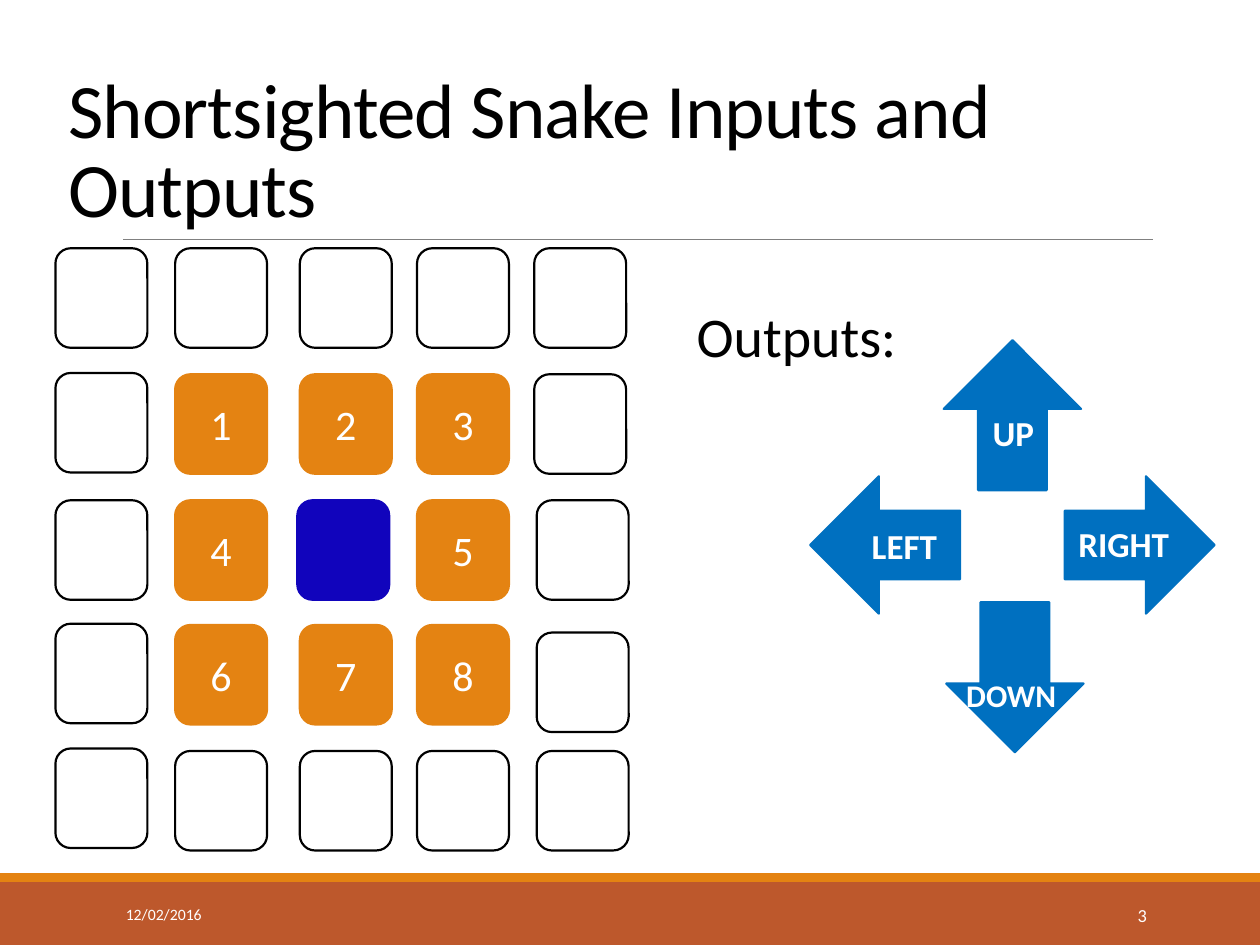
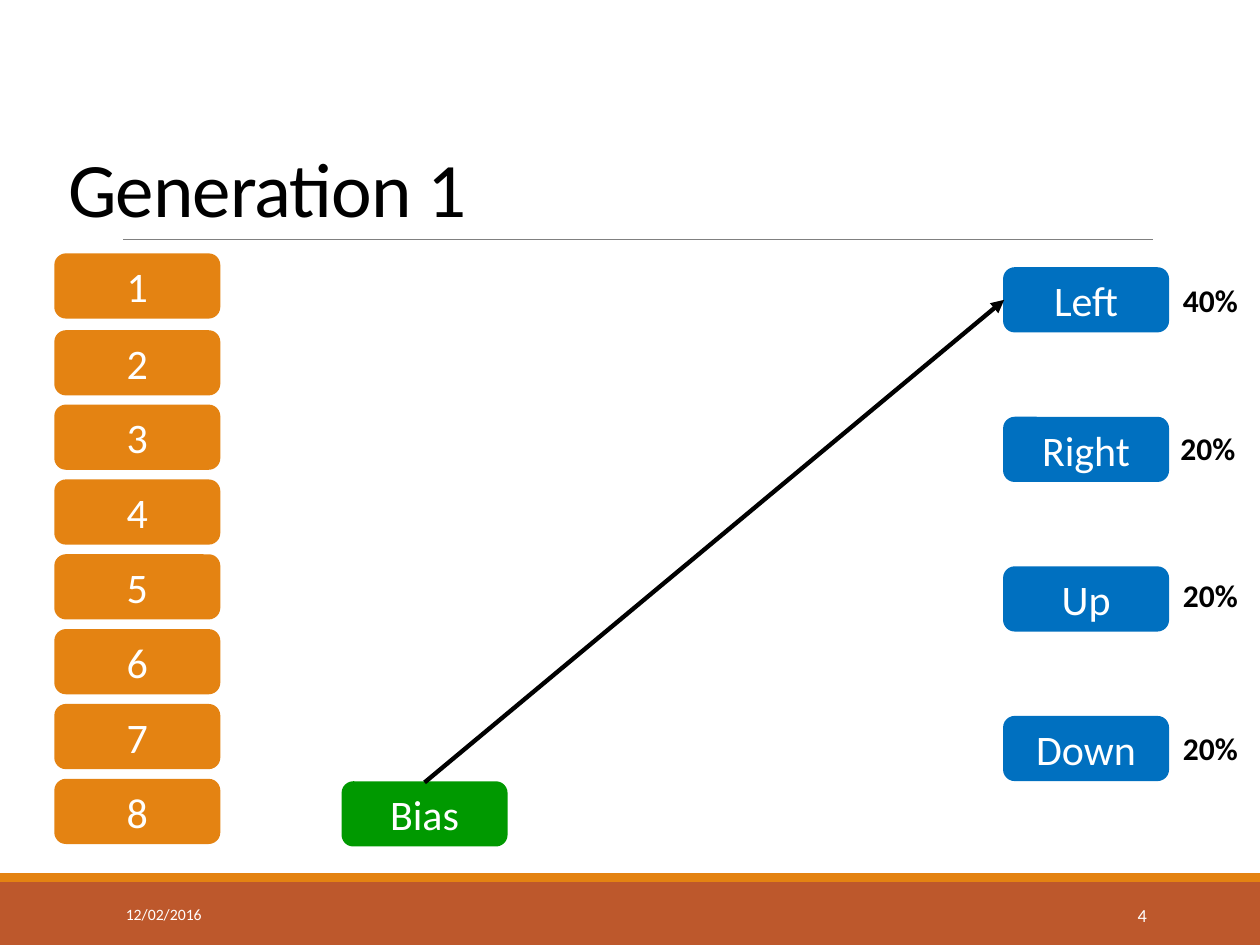
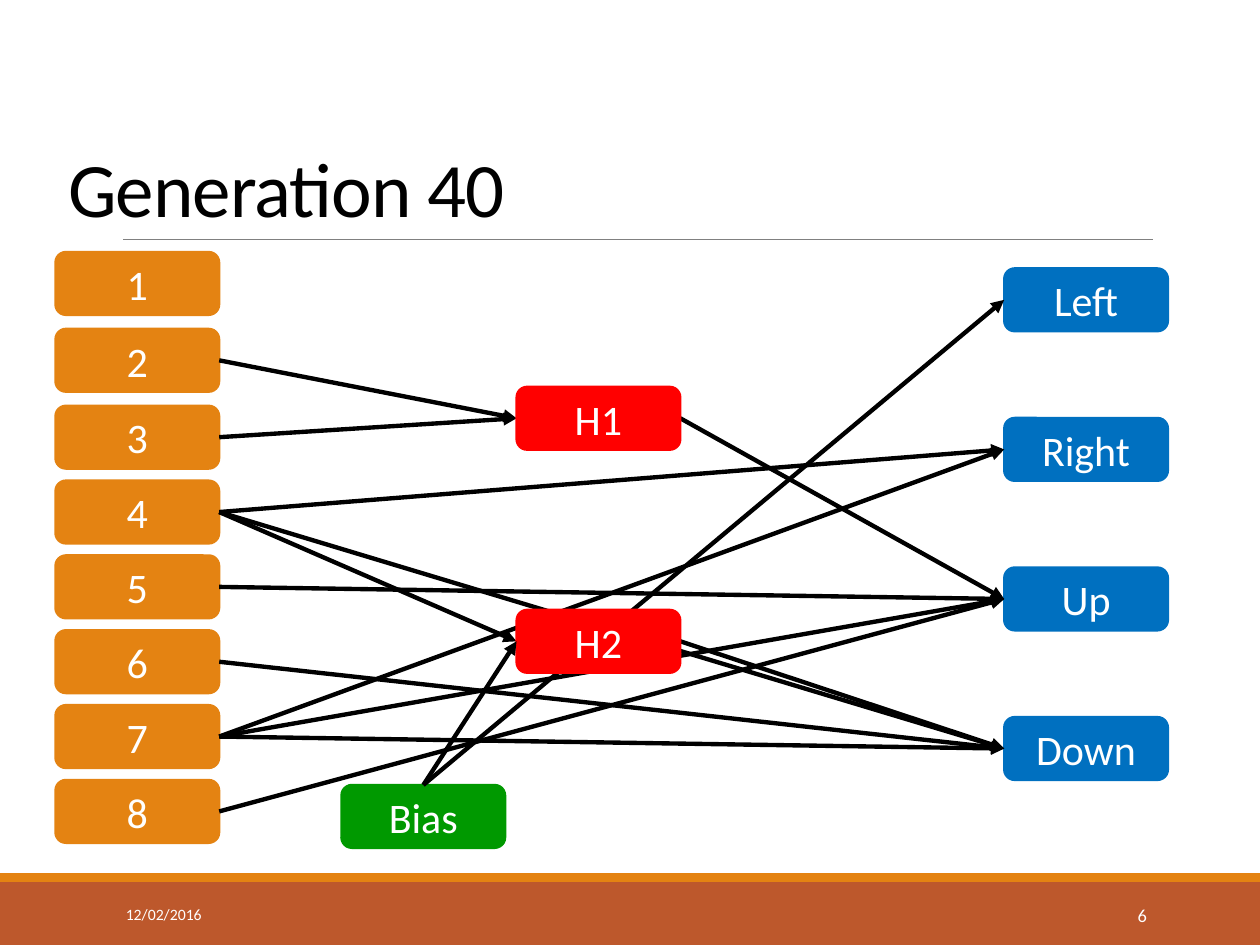
from lxml import etree
from pptx import Presentation
from pptx.dml.color import RGBColor
from pptx.enum.shapes import MSO_CONNECTOR, MSO_SHAPE
from pptx.enum.text import MSO_ANCHOR, MSO_AUTO_SIZE, PP_ALIGN
from pptx.oxml.ns import qn
from pptx.util import Inches, Pt

RECT, ROUNDED = MSO_SHAPE.RECTANGLE, MSO_SHAPE.ROUNDED_RECTANGLE
DOWN_ARROW = MSO_SHAPE.DOWN_ARROW
STRAIGHT = MSO_CONNECTOR.STRAIGHT
LEFT, CENTER, RIGHT = PP_ALIGN.LEFT, PP_ALIGN.CENTER, PP_ALIGN.RIGHT
MIDDLE, BOTTOM = MSO_ANCHOR.MIDDLE, MSO_ANCHOR.BOTTOM
NO_FIT, GROW = MSO_AUTO_SIZE.NONE, MSO_AUTO_SIZE.SHAPE_TO_FIT_TEXT

FONT = "Calibri"
COLORS = {
    "white": "FFFFFF", "black": "000000", "rule": "808080",
    "band": "BD582C", "input": "E48312", "head": "1104BC",
    "output": "0070C0", "bias": "009900", "hidden": "FF0000",
}
RGB = {name: RGBColor.from_string(value) for name, value in COLORS.items()}


def add_box(s, kind, box, fill, line=None, text=""):
    """Add a filled preset shape with optional outline and centred white text."""
    sp = s.shapes.add_shape(kind, *map(Inches, box))
    sp.shadow.inherit = False
    sp.fill.solid()
    sp.fill.fore_color.rgb = RGB[fill]
    if line:
        sp.line.color.rgb = RGB[line]
        sp.line.width = Pt(1.25)
    else:
        sp.line.fill.background()
    if text:
        tf = sp.text_frame
        tf.text = text
        tf.vertical_anchor = MIDDLE
        p = tf.paragraphs[0]
        p.alignment = CENTER
        p.font.size, p.font.name = Pt(24), FONT
        p.font.color.rgb = RGB["white"]
    return sp


def add_line(s, start, end, color="black", width=2.5, arrow=True):
    line = s.shapes.add_connector(STRAIGHT, *map(Inches, (*start, *end)))
    line.line.color.rgb = RGB[color]
    line.line.width = Pt(width)
    if arrow:
        etree.SubElement(line.line._get_or_add_ln(), qn("a:tailEnd"), type="triangle")
    etree.SubElement(line._element.spPr, qn("a:effectLst"))


prs = Presentation()
prs.slide_width, prs.slide_height = Inches(10), Inches(7.5)

# Bands, rule, title and footer shared by every slide
slides = []
for title, number in (("Shortsighted Snake Inputs and Outputs", "3"),
                      ("Generation 1", "4"), ("Generation 40", "6")):
    s = prs.slides.add_slide(prs.slide_layouts[5])
    slides.append(s)
    add_box(s, RECT, (0, 7, 10, 0.5), "band")
    add_box(s, RECT, (0, 6.93, 10, 0.07), "input")
    add_line(s, (0.98, 1.9), (9.15, 1.9), "rule", 0.5, arrow=False)

    sp = s.shapes.title
    sp.left, sp.top, sp.width, sp.height = map(Inches, (0.44, 0.31, 9.56, 1.59))
    tf = sp.text_frame
    tf.text = title
    tf.auto_size = NO_FIT
    tf.vertical_anchor = BOTTOM
    p = tf.paragraphs[0]
    p.alignment, p.line_spacing = LEFT, 0.85
    r = p.runs[0]
    r.font.size, r.font.name = Pt(44), FONT
    r.font.color.rgb = RGB["black"]
    r._r.get_or_add_rPr().set("spc", "-50")

    for box, text, size, align in (((0.9, 7.06, 2.03, 0.4), "12/02/2016", 9, LEFT),
                                   ((8.12, 7.06, 1.08, 0.4), number, 10.5, RIGHT)):
        tf = s.shapes.add_textbox(*map(Inches, box)).text_frame
        tf.text = text
        tf.word_wrap = True
        tf.vertical_anchor = MIDDLE
        p = tf.paragraphs[0]
        p.alignment = align
        p.font.size, p.font.name = Pt(size), FONT
        p.font.color.rgb = RGB["white"]

inputs_slide, first_slide, late_slide = slides

# Slide 1: the snake's head, its eight neighbours and the ring it cannot see
COLUMNS = (0.44, 1.39, 2.38, 3.31, 4.24)
ROWS = (1.97, 2.97, 3.97, 4.96, 5.96)
NUDGES = {(2, 2): (-0.02, 0), (1, 0): (0, -0.01), (3, 0): (0, -0.01),
          (4, 0): (0, -0.02), (2, 4): (0.02, 0), (3, 4): (0.02, 0.06),
          (4, 4): (0.02, 0)}
neighbour = 0
for row, y in enumerate(ROWS):
    for col, x in enumerate(COLUMNS):
        dx, dy = NUDGES.get((row, col), (0, 0))
        fill, line, text = "white", "black", ""
        if (row, col) == (2, 2):
            fill = line = "head"
        elif row in (1, 2, 3) and col in (1, 2, 3):
            neighbour += 1
            fill, line, text = "input", "input", str(neighbour)
        add_box(inputs_slide, ROUNDED, (x + dx, y + dy, 0.73, 0.79), fill, line, text)

for x, y, rotation in ((7.51, 4.78, 0), (7.49, 2.7, 180),
                       (6.48, 3.73, 90), (8.5, 3.73, 270)):
    sp = add_box(inputs_slide, DOWN_ARROW, (x, y, 1.09, 1.19), "output", "output")
    sp.rotation = rotation

# Slides 2 and 3: the networks; hidden nodes lie over the links
NODE_W, NODE_H = 1.3, 0.5
OUTPUTS = ("Left", "Right", "Up", "Down")
networks = (
    (first_slide, (2.02, 2.63), (2.72, 6.21), {}, ["Bias>Left"]),
    (late_slide, (2, 2.61), (2.71, 6.23), {"H1": (4.1, 3.07), "H2": (4.1, 4.84)},
     ["4>Right", "Bias>Left", "2>H1", "H1>Up", "3>H1", "4>H2", "4>Down", "5>Up",
      "6>Down", "7>Right", "7>Up", "7>Down", "8>Up", "H2>Down", "Bias>H2"]),
)
for s, first_tops, bias, hidden, links in networks:
    input_tops = [*first_tops, *(3.22 + 0.594 * i for i in range(6))]
    nodes = {str(i): (0.44, y) for i, y in enumerate(input_tops, 1)}
    nodes.update({name: (7.97, 2.13 + 1.187 * i) for i, name in enumerate(OUTPUTS)})
    nodes["Bias"] = bias
    for name, (x, y) in nodes.items():
        color = "output" if name in OUTPUTS else "bias" if name == "Bias" else "input"
        add_box(s, ROUNDED, (x, y, NODE_W, NODE_H), color, color, name)
    nodes.update(hidden)

    for link in links:
        if link == "Bias>H2":
            for name, (x, y) in hidden.items():
                add_box(s, ROUNDED, (x, y, NODE_W, NODE_H), "hidden", "hidden", name)
        source, target = link.split(">")
        x, y = nodes[source]
        start = (x + NODE_W / 2, y) if source == "Bias" else (x + NODE_W, y + NODE_H / 2)
        x, y = nodes[target]
        add_line(s, start, (x, y + NODE_H / 2))

# Free labels
for s, box, text, size, color, bold in (
    (inputs_slide, (7.78, 3.22, 0.53, 0.44), "UP", 20, "white", True),
    (inputs_slide, (6.82, 4.11, 0.72, 0.44), "LEFT", 20, "white", True),
    (inputs_slide, (8.46, 4.1, 0.93, 0.44), "RIGHT", 20, "white", True),
    (inputs_slide, (7.57, 5.32, 0.92, 0.4), "DOWN", 18, "white", True),
    (inputs_slide, (5.43, 2.34, 1.81, 0.64), "Outputs:", 32, "black", False),
    (first_slide, (9.29, 2.18, 0.64, 0.4), "40%", 18, "black", True),
    (first_slide, (9.27, 3.36, 0.64, 0.4), "20%", 18, "black", True),
    (first_slide, (9.29, 4.52, 0.64, 0.4), "20%", 18, "black", True),
    (first_slide, (9.29, 5.74, 0.64, 0.4), "20%", 18, "black", True),
):
    tf = s.shapes.add_textbox(*map(Inches, box)).text_frame
    tf.text = text
    tf.word_wrap = False
    tf.auto_size = GROW
    p = tf.paragraphs[0]
    p.font.size, p.font.name, p.font.bold = Pt(size), FONT, bold
    p.font.color.rgb = RGB[color]

prs.save("out.pptx")
